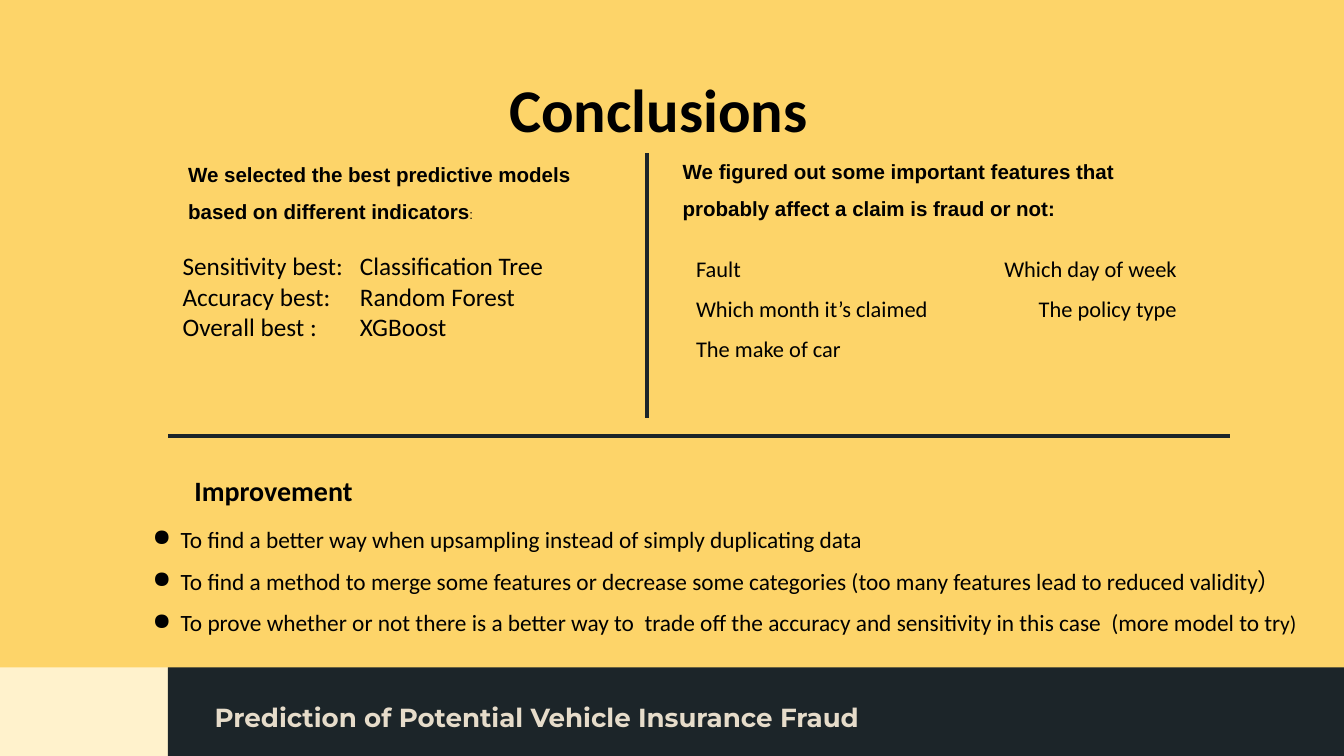
from lxml.etree import SubElement as Sub
from pptx import Presentation
from pptx.dml.color import RGBColor
from pptx.enum.shapes import MSO_CONNECTOR as Link, MSO_SHAPE as Shape
from pptx.enum.text import MSO_ANCHOR as Anchor, MSO_AUTO_SIZE as Fit, PP_ALIGN as Align
from pptx.oxml.ns import qn
from pptx.util import Pt

GOLD = RGBColor(0xFD, 0xD4, 0x69)
CREAM = RGBColor(0xFF, 0xF2, 0xCC)
DARK = RGBColor(0x1C, 0x25, 0x29)
SAND = RGBColor(0xE6, 0xDC, 0xCA)
BLACK = RGBColor(0, 0, 0)

WIDE, HIGH = 1440, 810
SIDE, FOOT = 180, 715

MODELS = [
    "Sensitivity best:\tClassification Tree",
    "Accuracy best:\tRandom Forest",
    "Overall best :\tXGBoost",
]
TRAITS = [
    "Fault\tWhich day of week",
    "Which month it’s claimed\tThe policy type",
    "The make of car",
]
PLANS = [
    "To find a better way when upsampling instead of simply duplicating data",
    "To find a method to merge some features or decrease some categories "
    "(too many features lead to reduced validity）",
    "To prove whether or not there is a better way to  trade off the accuracy "
    "and sensitivity in this case  (more model to tr",
]


def put(item, vals):
    for key, val in vals.items():
        setattr(item, key, val)


class Page:
    font = "Calibri"
    ink = BLACK

    def __init__(self, deck):
        self.slide = deck.slides.add_slide(deck.slide_layouts[5])
        fill = self.slide.background.fill
        fill.solid()
        fill.fore_color.rgb = GOLD

    def band(self, left, top, wide, high, color):
        box = self.slide.shapes.add_shape(
            Shape.RECTANGLE, Pt(left), Pt(top), Pt(wide), Pt(high))
        box.shadow.inherit = False
        box.fill.solid()
        box.fill.fore_color.rgb = color
        box.line.fill.background()

    def rule(self, x1, y1, x2, y2, thick):
        line = self.slide.shapes.add_connector(
            Link.STRAIGHT, Pt(x1), Pt(y1), Pt(x2), Pt(y2))
        line.line.width = Pt(thick)
        line.line.color.rgb = DARK
        Sub(line._element.spPr, qn("a:effectLst"))

    def run(self, para, text, size, font=None, ink=None, bold=False):
        run = para.add_run()
        run.text = text
        put(run.font, {"size": Pt(size), "name": font or self.font, "bold": bold})
        run.font.color.rgb = ink or self.ink

    def frame(self, box, inset, fit):
        frame = box.text_frame
        put(frame, {"word_wrap": True, "auto_size": fit, "vertical_anchor": Anchor.TOP})
        put(frame, {f"margin_{side}": Pt(inset) for side in ("left", "top", "right", "bottom")})
        return frame

    def title(self, text, left, top, wide, high, size):
        box = self.slide.shapes.title
        put(box, {"left": Pt(left), "top": Pt(top), "width": Pt(wide), "height": Pt(high)})
        para = self.frame(box, 0, Fit.NONE).paragraphs[0]
        put(para, {"alignment": Align.CENTER, "line_spacing": 1.22})
        self.run(para, text, size, bold=True)

    def text(self, lines, left, top, wide, high, size, inset=0, space=1.5,
             align=Align.LEFT, tab=None, dots=False, **look):
        box = self.slide.shapes.add_textbox(Pt(left), Pt(top), Pt(wide), Pt(high))
        frame = self.frame(box, inset, Fit.SHAPE_TO_FIT_TEXT)
        for num, line in enumerate(lines):
            para = frame.add_paragraph() if num else frame.paragraphs[0]
            if dots:
                self.dot(para)
            if tab:
                self.stop(para, *tab)
            put(para, {"alignment": align, "line_spacing": space})
            self.run(para, line, size, **look)
        return frame.paragraphs[-1]

    def dot(self, para):
        prop = para._p.get_or_add_pPr()
        prop.set("marL", str(Pt(36)))
        prop.set("indent", str(-Pt(30)))
        tint = Sub(prop, qn("a:buClr"))
        Sub(tint, qn("a:srgbClr"), val=str(BLACK))
        Sub(prop, qn("a:buChar"), char="●")

    def stop(self, para, place, side):
        tabs = Sub(para._p.get_or_add_pPr(), qn("a:tabLst"))
        Sub(tabs, qn("a:tab"), pos=str(Pt(place)), algn=side)


def main():
    deck = Presentation()
    put(deck, {"slide_width": Pt(WIDE), "slide_height": Pt(HIGH)})
    page = Page(deck)
    page.band(0, FOOT, SIDE, HIGH - FOOT, CREAM)
    page.band(SIDE, FOOT, WIDE - SIDE, HIGH - FOOT, DARK)
    page.text(["Prediction of Potential Vehicle Insurance Fraud"], 230, 745, 850, 34, 28,
              space=1.2, font="Montserrat", ink=SAND, bold=True)
    page.title("Conclusions", 428, 60, 555, 78, 65)

    head = {"font": "Arial", "bold": True}
    last = page.text(["We selected the best predictive models based on different indicators"],
                     201.6, 160, 438, 67, 22, **head)
    page.run(last, ":", 14, font="Arial")
    page.text(["We figured out some important features that probably affect "
               "a claim is fraud or not:"], 731.5, 157.5, 522, 67, 22, **head)
    page.text(MODELS, 188.6, 261.4, 410, 113, 27, inset=7.2, space=1, tab=(190, "l"))
    page.text(TRAITS, 738.7, 251.3, 551, 131, 24, inset=7.2, tab=(515, "r"))

    page.rule(SIDE, 467, 1318, 467, 5)
    page.rule(693.7, 164, 693.7, 448, 4.3)
    page.text(["Improvement"], 169, 489.6, 248, 69, 30, align=Align.CENTER, bold=True)
    last = page.text(PLANS, 150.5, 540, 1275, 166, 25, inset=7.2, dots=True)
    page.run(last, "y)", 23)
    deck.save("out.pptx")


if __name__ == "__main__":
    main()
